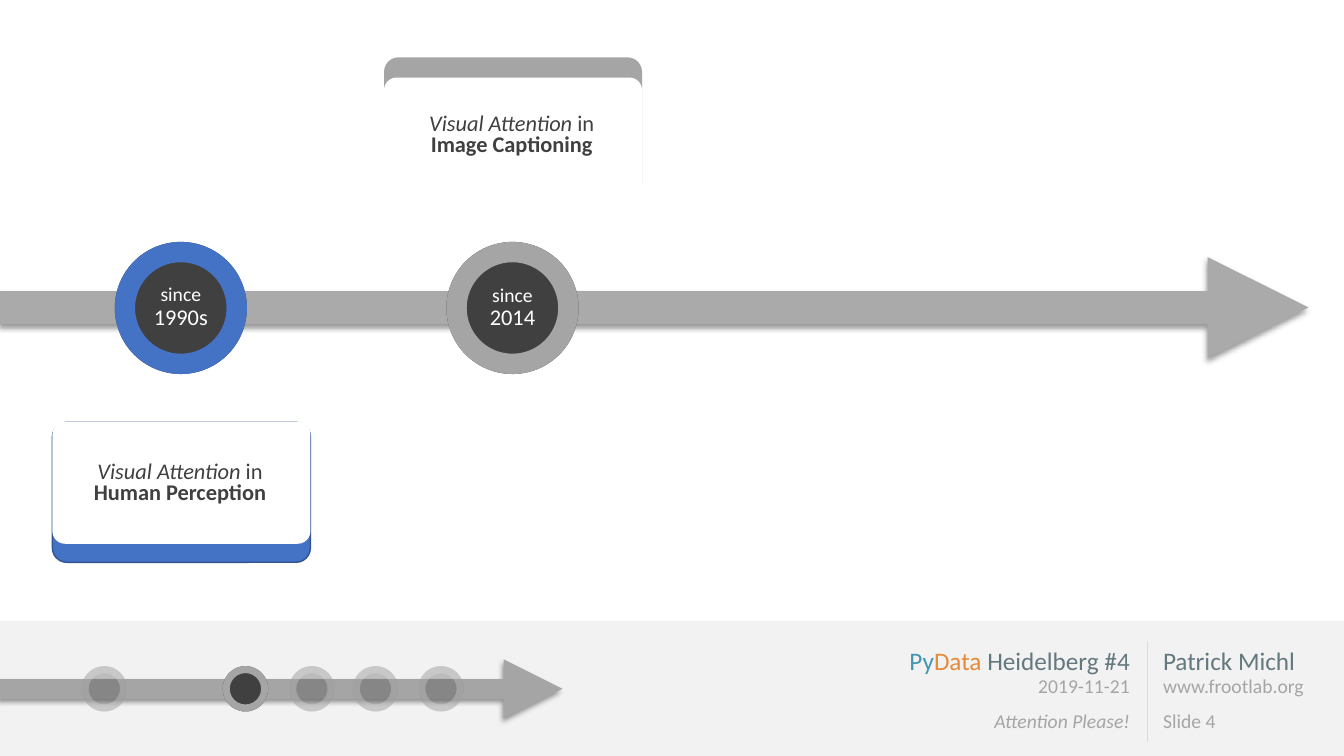
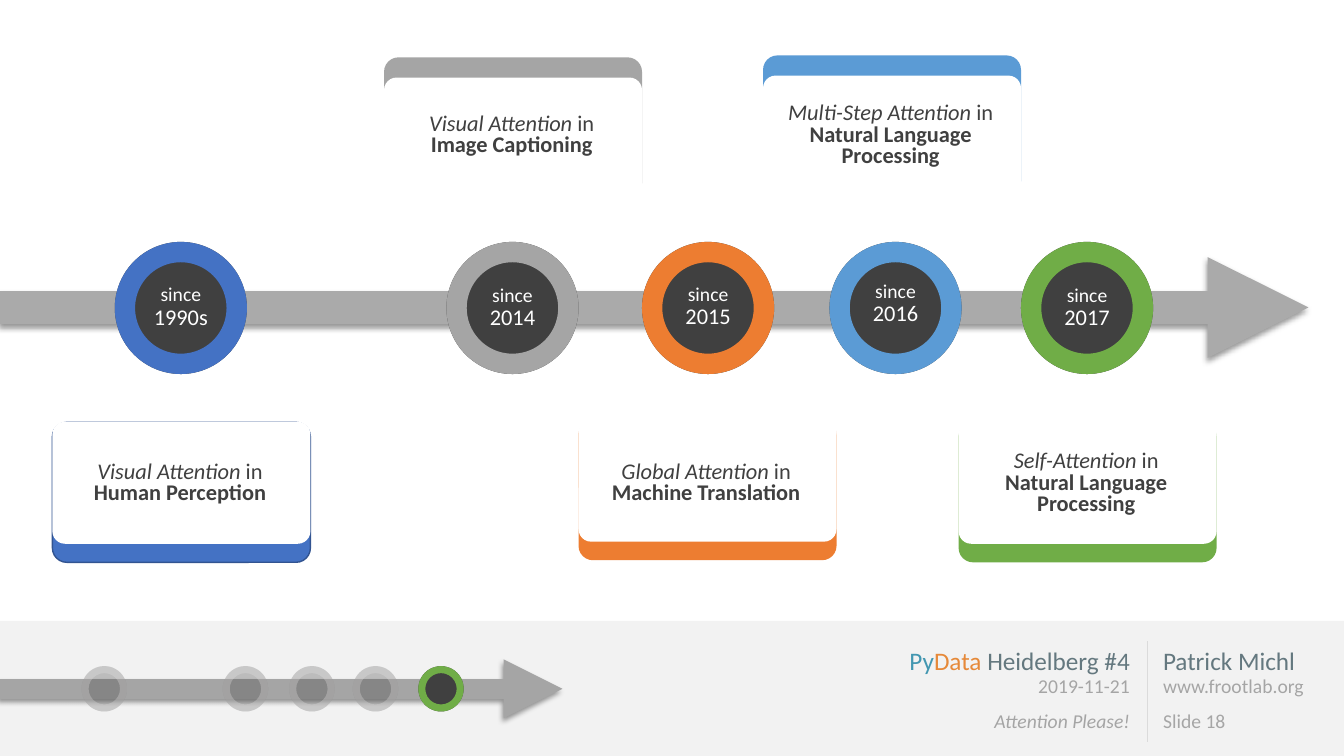
from copy import deepcopy

from lxml import etree
from pptx import Presentation
from pptx.dml.color import RGBColor
from pptx.enum.shapes import MSO_CONNECTOR, MSO_SHAPE
from pptx.enum.text import MSO_ANCHOR, PP_ALIGN
from pptx.oxml.ns import qn
from pptx.util import Pt

RECTANGLE, ROUNDED = MSO_SHAPE.RECTANGLE, MSO_SHAPE.ROUNDED_RECTANGLE
OVAL, DONUT, DIAMOND = MSO_SHAPE.OVAL, MSO_SHAPE.DONUT, MSO_SHAPE.DIAMOND
STRAIGHT = MSO_CONNECTOR.STRAIGHT
LEFT, CENTER, RIGHT = PP_ALIGN.LEFT, PP_ALIGN.CENTER, PP_ALIGN.RIGHT
TOP, MIDDLE = MSO_ANCHOR.TOP, MSO_ANCHOR.MIDDLE

FONT = "Calibri"
COLORS = {
    "white": "FFFFFF", "dark": "404040", "band": "F2F2F2", "divider": "DBDBDB",
    "arrow": "AAAAAA", "gray": "A5A5A5", "page": "A6A6A6", "faded": "E7E6E6",
    "slate": "64787F", "teal": "4397B1", "amber": "E68939", "shadow": "000000",
    "blue": "4472C4", "navy": "325491", "orange": "ED7D31",
    "sky": "5B9BD5", "green": "70AD47",
}

# Content: ring and card are centred on their x, dot is the centre in the footer
MILESTONES = [
    {"year": "1990s", "color": "blue", "outline": "navy", "above": False,
     "ring_x": 129.2, "card_x": 129.6, "card_top": 301.7, "year_y": 219.6,
     "dot_x": 74.5, "method": "Visual Attention", "field": ["Human Perception"]},
    {"year": "2014", "color": "gray", "outline": None, "above": True,
     "ring_x": 366.1, "card_x": 366.5, "card_top": 41, "year_y": 220,
     "dot_x": 175.3, "method": "Visual Attention", "field": ["Image Captioning"]},
    {"year": "2015", "color": "orange", "outline": None, "above": False,
     "ring_x": 505.8, "card_x": 505.4, "card_top": 300.2, "year_y": 219.4,
     "dot_x": 222.8, "method": "Global Attention", "field": ["Machine Translation"]},
    {"year": "2016", "color": "sky", "outline": None, "above": True,
     "ring_x": 639.7, "card_x": 637.2, "card_top": 39.6, "year_y": 217.1,
     "dot_x": 268.2, "method": "Multi-Step Attention",
     "field": ["Natural Language", "Processing"]},
    {"year": "2017", "color": "green", "outline": None, "above": False,
     "ring_x": 776.5, "card_x": 776.9, "card_top": 301.7, "year_y": 220,
     "dot_x": 315, "method": "Self-Attention",
     "field": ["Natural Language", "Processing"]},
]
# Slide number and how many milestones it reveals; the last one is current
SLIDES = [(4, 2), (18, 5)]

# Each paragraph is a list of lines, each line a list of (text, format) runs
EVENT = [
    [[("Py", {"size": 18, "color": "teal"}), ("Data ", {"size": 18, "color": "amber"}),
      ("Heidelberg #4", {"size": 18, "color": "slate"})],
     [("2019-11-21", {"size": 14, "color": "gray"})]],
    [[("Attention Please!", {"size": 14, "color": "gray", "italic": True})]],
]
AUTHOR = [
    [[("Patrick Michl", {"size": 18, "color": "slate"})],
     [("www.frootlab.org", {"size": 14, "color": "gray"})]],
]

# Geometry
SLIDE_WIDTH, SLIDE_HEIGHT = 960, 540
BAND_TOP, FOOTER_TOP, FOOTER_HEIGHT = 443.5, 460, 67.7
TIMELINE_Y, RING_Y, RING_SIZE = 219.6, 220, 94.4
PROGRESS_Y, DOT_SIZE = 492, 32.4
CARD_WIDTH, CARD_HEIGHT, FACE_HEIGHT = 184.3, 100, 87.1
POINTER_WIDTH, POINTER_HEIGHT = 51.8, 45.4


def rgb(name):
    return RGBColor.from_string(COLORS[name])


def add_block(slide, kind, left, top, width, height, fill,
              outline=None, adjustment=None, opacity=None):
    shape = slide.shapes.add_shape(kind, Pt(left), Pt(top), Pt(width), Pt(height))
    shape.shadow.inherit = False
    shape.fill.solid()
    shape.fill.fore_color.rgb = rgb(fill)
    if outline:
        shape.line.color.rgb = rgb(outline)
        shape.line.width = Pt(1)
    else:
        shape.line.fill.background()
    if adjustment:
        shape.adjustments[0] = adjustment
    if opacity:
        color = shape.element.spPr.find(qn("a:solidFill"))[0]
        etree.SubElement(color, qn("a:alpha"), val=str(opacity * 1000))
    return shape


def add_text(slide, left, top, width, height, paragraphs, align=CENTER,
             anchor=MIDDLE, spacing=0.9, right_inset=7.2):
    box = slide.shapes.add_textbox(Pt(left), Pt(top), Pt(width), Pt(height))
    frame = box.text_frame
    frame.word_wrap = True
    frame.vertical_anchor = anchor
    frame.margin_right = Pt(right_inset)
    for index, lines in enumerate(paragraphs):
        paragraph = frame.add_paragraph() if index else frame.paragraphs[0]
        paragraph.alignment = align
        paragraph.line_spacing = spacing
        paragraph.space_before = Pt(10 if index else 0)
        for number, line in enumerate(lines):
            if number:
                # The break keeps the size of the text before it
                paragraph.add_line_break()
                paragraph._p[-1].append(deepcopy(run.font._element))
            for text, style in line:
                run = paragraph.add_run()
                run.text = text
                run.font.name = FONT
                run.font.size = Pt(style["size"])
                run.font.color.rgb = rgb(style["color"])
                run.font.bold = style.get("bold", False)
                run.font.italic = style.get("italic", False)
    return box


def add_line(slide, start, end, color, width):
    line = slide.shapes.add_connector(STRAIGHT, *(Pt(v) for v in (*start, *end)))
    line.line.color.rgb = rgb(color)
    line.line.width = Pt(width)
    etree.SubElement(line.element.spPr, qn("a:effectLst"))
    return line


def add_time_arrow(slide, y, end_x, color, width):
    arrow = add_line(slide, (0, y), (end_x, y), color, width)
    properties = arrow.element.spPr
    etree.SubElement(properties.find(qn("a:ln")), qn("a:tailEnd"), type="triangle")
    shadow = etree.SubElement(
        properties.find(qn("a:effectLst")), qn("a:outerShdw"),
        blurRad=str(Pt(4)), dist=str(Pt(3)), dir="8100000", algn="tr", rotWithShape="0")
    tint = etree.SubElement(shadow, qn("a:srgbClr"), val=COLORS["shadow"])
    etree.SubElement(tint, qn("a:alpha"), val="40000")


def add_ring(slide, center_x, center_y, size, color, opacity=None):
    place = (center_x - size / 2, center_y - size / 2, size, size)
    add_block(slide, OVAL, *place, "dark", opacity=opacity)
    add_block(slide, DONUT, *place, color, adjustment=0.154, opacity=opacity)


def add_card(slide, milestone):
    center, top, above = (milestone[key] for key in ("card_x", "card_top", "above"))
    left = center - CARD_WIDTH / 2
    pointer_top = top + 75.6 if above else top - 20.9
    face_top = top + 14.4 if above else top - 0.4
    text_y = 97 if above else 345.6
    add_block(slide, DIAMOND, center - POINTER_WIDTH / 2, pointer_top,
              POINTER_WIDTH, POINTER_HEIGHT, "white")
    add_block(slide, ROUNDED, left, top, CARD_WIDTH, CARD_HEIGHT,
              milestone["color"], milestone["outline"], 0.103)
    add_block(slide, ROUNDED, left, face_top, CARD_WIDTH, FACE_HEIGHT,
              "white", adjustment=0.103)
    plain = {"size": 16, "color": "dark"}
    lines = [[(milestone["method"], {**plain, "italic": True}), (" in", plain)]]
    lines += [[(text, {**plain, "bold": True})] for text in milestone["field"]]
    add_text(slide, center - 87.4, text_y - 36, 172.8, 72, [lines], spacing=0.8)


def add_milestone(slide, milestone):
    add_ring(slide, milestone["ring_x"], RING_Y, RING_SIZE, milestone["color"])
    add_card(slide, milestone)
    lines = [[("since", {"size": 14, "color": "white"})],
             [(milestone["year"], {"size": 16, "color": "white"})]]
    add_text(slide, milestone["ring_x"] - 32.4, milestone["year_y"] - 24,
             64.8, 48, [lines])


def add_progress(slide, current):
    add_time_arrow(slide, PROGRESS_Y, 401.8, "gray", 14)
    for milestone in MILESTONES:
        active = milestone is current
        add_ring(slide, milestone["dot_x"], PROGRESS_Y, DOT_SIZE,
                 milestone["color"] if active else "faded", None if active else 30)


def move_footer_to_layout(slide, layout):
    """Draw the common footer and hand it to the layout, for all slides."""
    for placeholder in list(layout.placeholders):
        layout.shapes.element.remove(placeholder.element)
    footer = [
        add_block(slide, RECTANGLE, 0, BAND_TOP, SLIDE_WIDTH,
                  SLIDE_HEIGHT - BAND_TOP, "band"),
        add_text(slide, 630, FOOTER_TOP, 180, FOOTER_HEIGHT, EVENT,
                 RIGHT, TOP, right_inset=2.9),
        add_line(slide, (819.4, 458), (819.4, 530), "divider", 0.5),
    ]
    for shape in footer:
        layout.shapes.element.append(shape.element)


def main():
    presentation = Presentation()
    presentation.slide_width = Pt(SLIDE_WIDTH)
    presentation.slide_height = Pt(SLIDE_HEIGHT)
    layout = presentation.slide_layouts[6]
    for index, (number, shown) in enumerate(SLIDES):
        slide = presentation.slides.add_slide(layout)
        if index == 0:
            move_footer_to_layout(slide, layout)
        page = [[(f"Slide {number}", {"size": 14, "color": "page"})]]
        add_text(slide, 823.7, FOOTER_TOP, 129.6, FOOTER_HEIGHT,
                 AUTHOR + [page], LEFT, TOP, right_inset=2.9)
        add_time_arrow(slide, TIMELINE_Y, 934.6, "arrow", 24)
        for milestone in MILESTONES[:shown]:
            add_milestone(slide, milestone)
        add_progress(slide, MILESTONES[shown - 1])
    presentation.save("out.pptx")


if __name__ == "__main__":
    main()
